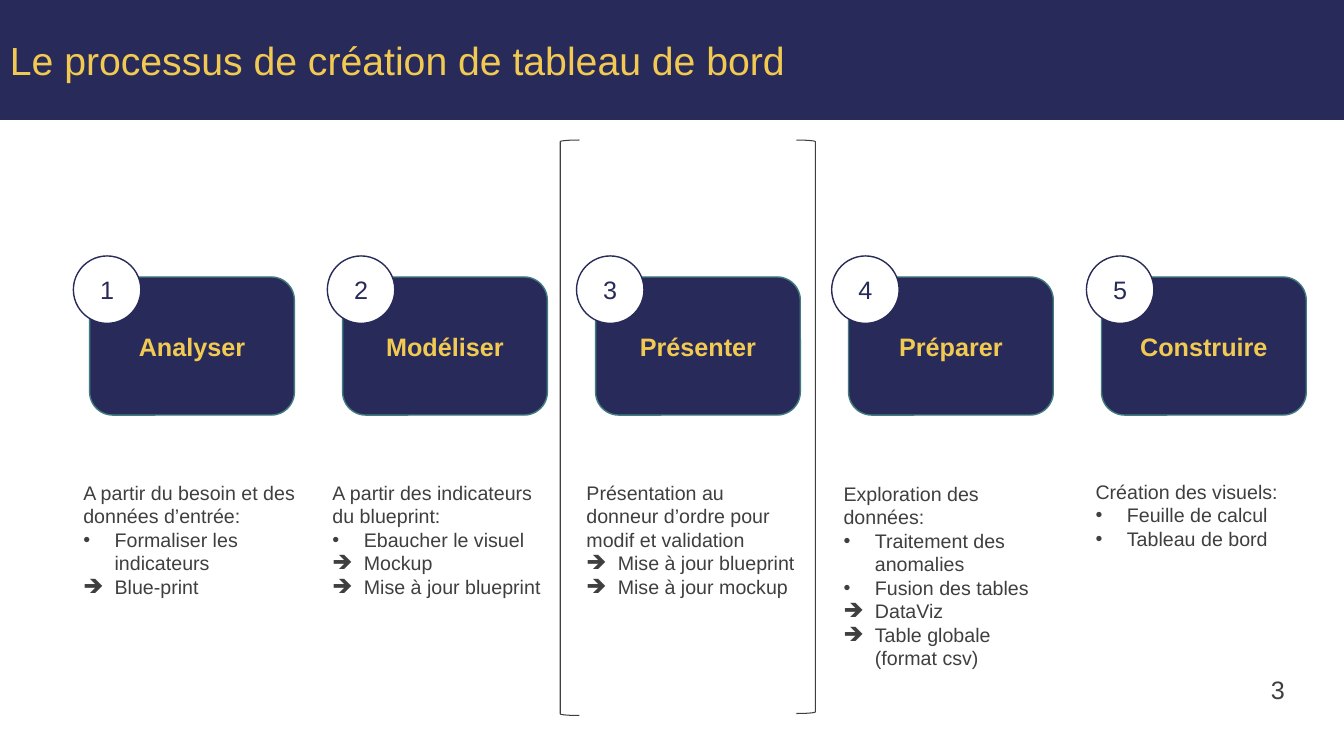
"""Slide on the five steps of building a dashboard."""
import pptx
import pptx.dml.color
import pptx.enum.shapes
import pptx.enum.text
import pptx.oxml
import pptx.oxml.ns
import pptx.util

Cm = pptx.util.Cm
Pt = pptx.util.Pt
RGBColor = pptx.dml.color.RGBColor
SHAPE = pptx.enum.shapes.MSO_SHAPE
ALIGN = pptx.enum.text.PP_ALIGN
ANCHOR = pptx.enum.text.MSO_ANCHOR
FIT = pptx.enum.text.MSO_AUTO_SIZE

NAVY = RGBColor(0x28, 0x2B, 0x59)
GOLD = RGBColor(0xF2, 0xCA, 0x52)
TEAL = RGBColor(0x43, 0x7C, 0x80)
GREY = RGBColor(0x3F, 0x3F, 0x3F)
WHITE = RGBColor(0xFF, 0xFF, 0xFF)

TITLE = "Le processus de création de tableau de bord"
PAGE = "3"
DOT, ARROW = "•", "🡺"

# name, badge left, note left, note top, note height, lines
STEPS = [
    ("Analyser", 1.85, 1.85, 11.99, 3.84, [
        ("", "A partir du besoin et des données d’entrée:"),
        (DOT, "Formaliser les indicateurs"),
        (ARROW, "Blue-print")]),
    ("Modéliser", 8.25, 8.13, 11.99, 3.25, [
        ("", "A partir des indicateurs du blueprint:"),
        (DOT, "Ebaucher le visuel"),
        (ARROW, "Mockup"),
        (ARROW, "Mise à jour blueprint")]),
    ("Présenter", 14.53, 14.53, 11.99, 3.25, [
        ("", "Présentation au donneur d’ordre pour modif et validation"),
        (ARROW, "Mise à jour blueprint"),
        (ARROW, "Mise à jour mockup")]),
    ("Préparer", 20.96, 21.01, 12.01, 5.05, [
        ("", "Exploration des données:"),
        (DOT, "Traitement des anomalies"),
        (DOT, "Fusion des tables"),
        (ARROW, "DataViz"),
        (ARROW, "Table globale (format csv)")]),
    ("Construire", 27.38, 27.36, 11.96, 3.25, [
        ("", "Création des visuels:"),
        (DOT, "Feuille de calcul"),
        (DOT, "Tableau de bord")]),
]
BRACKETS = [(SHAPE.LEFT_BRACKET, 14.12, 14.5), (SHAPE.RIGHT_BRACKET, 20.07, 14.45)]
LEFT, PITCH = 2.26, 6.375

deck = pptx.Presentation()
deck.slide_width, deck.slide_height = Cm(33.87), Cm(19.05)
slide = deck.slides.add_slide(deck.slide_layouts[6])


def draw(kind, box, fill=None, line=None, width=1):
    shape = slide.shapes.add_shape(kind, *map(Cm, box))
    shape.shadow.inherit = False
    if fill is None:
        shape.fill.background()
    else:
        shape.fill.solid()
        shape.fill.fore_color.rgb = fill
    if line is None:
        shape.line.fill.background()
    else:
        shape.line.color.rgb = line
        shape.line.width = Pt(width)
    return shape


def add_mark(para, mark):
    props = para._p.get_or_add_pPr()
    props.set("marL", str(Cm(0.79)))
    props.set("indent", str(-Cm(0.79)))
    for tag, key, value in (("buFont", "typeface", "Arial"), ("buChar", "char", mark)):
        item = pptx.oxml.parse_xml(f'<a:{tag} {pptx.oxml.ns.nsdecls("a")}/>')
        item.set(key, value)
        props.append(item)


def write(text, shape=None, box=None, size=18, color=GREY, bold=False,
          align=ALIGN.LEFT, anchor=ANCHOR.MIDDLE):
    """Write a string, or a list of (mark, string) lines, in a shape or a new box."""
    lines = [("", text)] if isinstance(text, str) else text
    if shape is None:
        shape = slide.shapes.add_textbox(*map(Cm, box))
        shape.text_frame.auto_size = FIT.SHAPE_TO_FIT_TEXT
        anchor = ANCHOR.TOP
    frame = shape.text_frame
    frame.word_wrap = True
    frame.vertical_anchor = anchor
    for i, (mark, words) in enumerate(lines):
        para = frame.add_paragraph() if i else frame.paragraphs[0]
        para.alignment = align
        if mark:
            add_mark(para, mark)
        run = para.add_run()
        run.text = words
        run.font.name = "Arial"
        run.font.size = Pt(size)
        run.font.bold = bold
        run.font.color.rgb = color


def main():
    write(PAGE, box=(31.78, 16.87, 1.63, 1.8))
    write(TITLE, draw(SHAPE.RECTANGLE, (0, 0, 33.87, 3.02), NAVY), size=28, color=GOLD)
    for i, (name, badge, left, top, height, lines) in enumerate(STEPS):
        card = draw(SHAPE.ROUNDED_RECTANGLE, (LEFT + i * PITCH, 6.98, 5.16, 3.48), NAVY, TEAL)
        write(name, card, color=GOLD, bold=True, align=ALIGN.CENTER)
        disc = draw(SHAPE.OVAL, (badge, 6.45, 1.7, 1.7), WHITE, NAVY)
        write(str(i + 1), disc, color=NAVY, align=ALIGN.CENTER)
        write(lines, box=(left, top, 5.89, height), size=14)
    for kind, left, height in BRACKETS:
        draw(kind, (left, 3.53, 0.48, height), line=GREY, width=0.75)
    deck.save("out.pptx")


if __name__ == "__main__":
    main()
